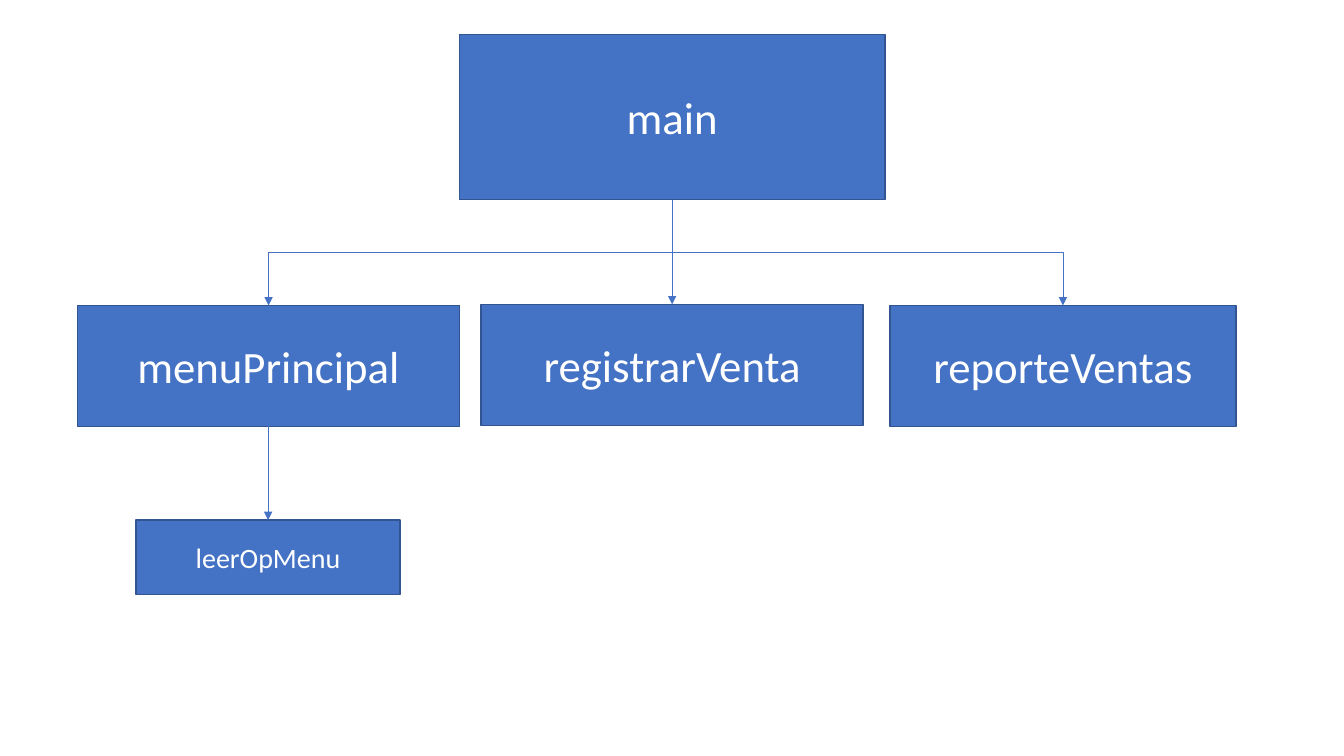
"""Draw the call tree of a sales program."""
from pptx import Presentation
from pptx import util as u
from pptx.dml.color import RGBColor
from pptx.enum import shapes, text
from pptx.oxml.ns import qn
from lxml import etree

BLUE = RGBColor(0x44, 0x72, 0xC4)
NAVY = RGBColor(0x32, 0x54, 0x91)
WHITE = RGBColor(0xFF, 0xFF, 0xFF)

NODES = {
    "main": (328.3, 24.5, 303.8, 118.1, 32),
    "registrarVenta": (343.7, 217.4, 272.9, 86.4, 32),
    "reporteVentas": (635.8, 218.2, 247, 86.4, 32),
    "menuPrincipal": (55.4, 218.2, 272.9, 86.4, 32),
    "leerOpMenu": (97.2, 371.5, 188.6, 53.3, 20),
}
CALLS = [
    ("main", "registrarVenta"),
    ("main", "reporteVentas"),
    ("main", "menuPrincipal"),
    ("menuPrincipal", "leerOpMenu"),
]
FONT = {"name": "Calibri"}


def add_node(slide, name, left, top, width, height, size):
    box = slide.shapes.add_shape(
        shapes.MSO_SHAPE.RECTANGLE, *map(u.Pt, (left, top, width, height)))
    box.shadow.inherit = False
    box.fill.solid()
    box.fill.fore_color.rgb = BLUE
    box.line.color.rgb = NAVY
    box.line.width = u.Pt(1)
    frame = box.text_frame
    frame.vertical_anchor = text.MSO_ANCHOR.MIDDLE
    par = frame.paragraphs[0]
    par.alignment = text.PP_ALIGN.CENTER
    run = par.add_run()
    run.text = name
    for key, value in {**FONT, "size": u.Pt(size)}.items():
        setattr(run.font, key, value)
    run.font.color.rgb = WHITE
    return box


def add_call(slide, above, below):
    start = above.left + above.width // 2
    end = below.left + below.width // 2
    high, low = above.top + above.height, below.top
    mid_x, mid_y = (start + end) // 2, (high + low) // 2
    half, drop = abs(end - start) // 2, (low - high) // 2
    right = end > start
    side = drop if right else -drop
    link = slide.shapes.add_connector(
        shapes.MSO_CONNECTOR.ELBOW, start, high, end, low)
    link.begin_connect(above, 2)
    link.end_connect(below, 0)
    ends = {"begin_x": mid_x + side, "begin_y": mid_y - half,
            "end_x": mid_x - side, "end_y": mid_y + half}
    for key, value in ends.items():
        setattr(link, key, value)
    link.line.color.rgb = BLUE
    link.line.width = u.Pt(0.5)
    props = link.element.spPr
    props.find(qn("a:xfrm")).set("rot", str((270 if right else 90) * 60000))
    etree.SubElement(props.find(qn("a:ln")), qn("a:tailEnd"), type="triangle")
    etree.SubElement(props, qn("a:effectLst"))


deck = Presentation()
deck.slide_width, deck.slide_height = u.Pt(960), u.Pt(540)
slide = deck.slides.add_slide(deck.slide_layouts[6])
boxes = {name: add_node(slide, name, *spot) for name, spot in NODES.items()}
for caller, callee in CALLS:
    add_call(slide, boxes[caller], boxes[callee])
deck.save("out.pptx")
